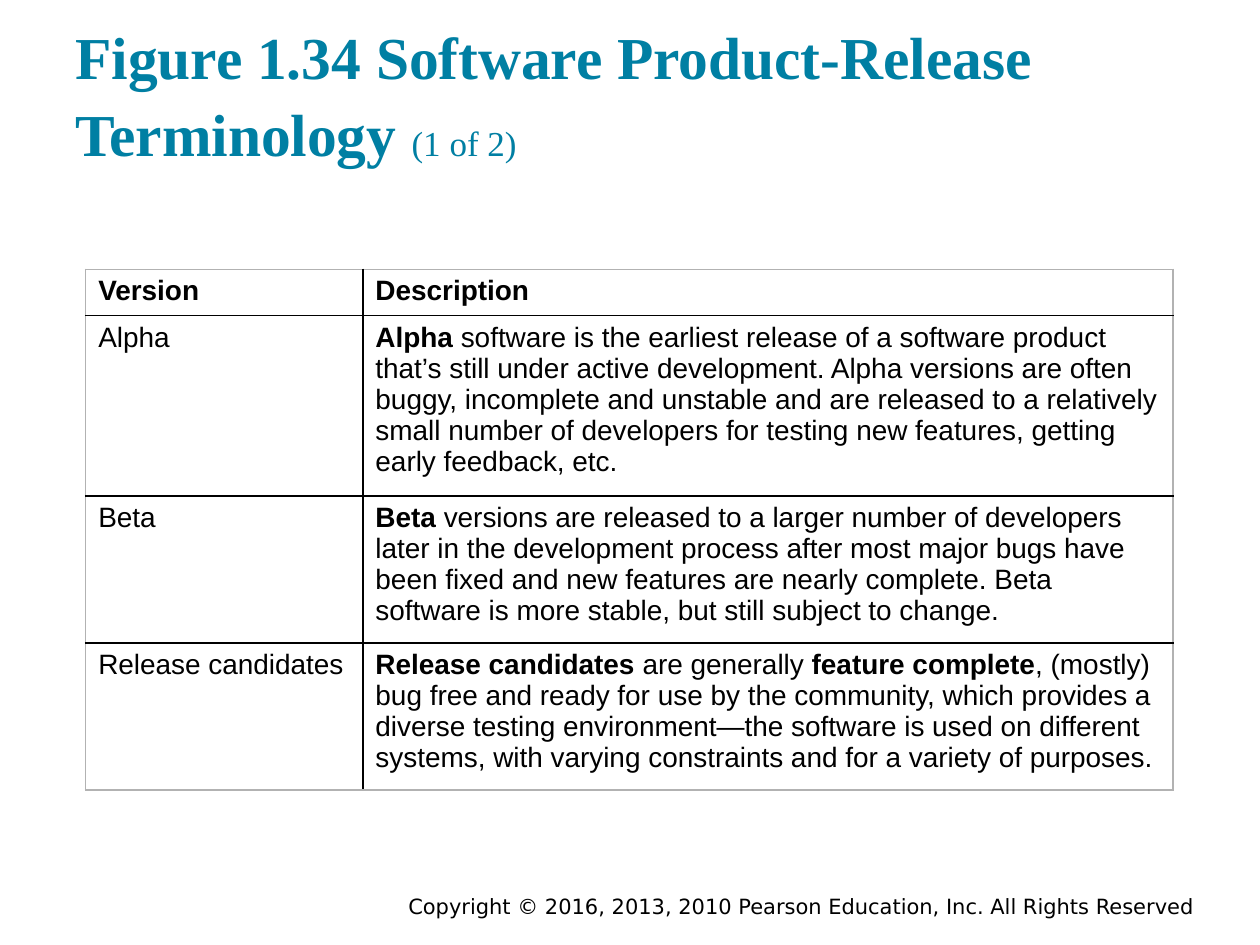
from pptx import Presentation, util as u
from pptx.dml.color import RGBColor
from pptx.enum import text as t
from pptx.oxml.ns import qn
from lxml import etree

COLORS = {"title": "007FA3", "text": "000000", "rule": "000000",
          "frame": "B2B2B2", "paper": "FFFFFF"}
WIDE, HIGH = 10, 7.5

# Asterisks switch bold on and off
ROWS = [
    ("*Version*", "*Description*"),
    ("Alpha", "*Alpha *software is the earliest release of a software product "
     "that’s still under active development. Alpha versions are often buggy, "
     "incomplete and unstable and are released to a relatively small number of "
     "developers for testing new features, getting early feedback, etc."),
    ("Beta", "*Beta *versions are released to a larger number of developers "
     "later in the development process after most major bugs have been fixed "
     "and new features are nearly complete. Beta software is more stable, but "
     "still subject to change."),
    ("Release candidates", "*Release candidates *are generally *feature complete*"
     ", (mostly) bug free and ready for use by the community, which provides a "
     "diverse testing environment—the software is used on different systems, "
     "with varying constraints and for a variety of purposes."),
]


def write(para, text, font="Arial", size=16, color="text"):
    """Add runs to a paragraph; parts between asterisks are bold."""
    for i, part in enumerate(text.split("*")):
        if part:
            run = para.add_run()
            run.text = part
            run.font.name, run.font.size = font, u.Pt(size)
            run.font.bold = i % 2 == 1
            run.font.color.rgb = RGBColor.from_string(COLORS[color])


class Deck:
    def __init__(self):
        self.prs = Presentation()
        self.prs.slide_width, self.prs.slide_height = u.Inches(WIDE), u.Inches(HIGH)
        self.slide = self.prs.slides.add_slide(self.prs.slide_layouts[6])

    def area(self, x, y, w, h):
        """Turn shares of the slide into lengths."""
        return [u.Inches(v * s) for v, s in zip((x, y, w, h), (WIDE, HIGH) * 2)]

    def box(self, area, parts, anchor, align, pad=0.1, space=1.0):
        frame = self.slide.shapes.add_textbox(*self.area(*area)).text_frame
        frame.word_wrap, frame.vertical_anchor = True, anchor
        frame.margin_top = frame.margin_bottom = u.Inches(pad)
        para = frame.paragraphs[0]
        para.alignment, para.line_spacing = align, space
        for text, form in parts:
            write(para, text, **form)

    def border(self, cell, side, color):
        line = etree.SubElement(cell._tc.get_or_add_tcPr(), qn("a:ln" + side),
                                w=str(u.Pt(1)))
        fill = etree.SubElement(line, qn("a:solidFill"))
        etree.SubElement(fill, qn("a:srgbClr"), val=COLORS[color])

    def table(self, area, rows, cols, heights):
        grid = self.slide.shapes.add_table(len(rows), len(cols), *self.area(*area)).table
        for col, share in zip(grid.columns, cols):
            col.width = u.Inches(share * WIDE)
        for r, texts in enumerate(rows):
            grid.rows[r].height = u.Inches(heights[r] * HIGH)
            for c, text in enumerate(texts):
                cell = grid.cell(r, c)
                # The outer frame is grey, inner rules are black
                edges = {"L": c == 0, "R": c == len(cols) - 1,
                         "T": r == 0, "B": r == len(rows) - 1}
                for side, outer in edges.items():
                    self.border(cell, side, "frame" if outer else "rule")
                cell.fill.solid()
                cell.fill.fore_color.rgb = RGBColor.from_string(COLORS["paper"])
                write(cell.text_frame.paragraphs[0], text)


def main():
    deck = Deck()
    # Title
    style = {"font": "Times New Roman", "color": "title"}
    deck.box((0.05, 0.032, 0.9, 0.16),
             [("*Figure 1.34 Software Product-Release Terminology *", {**style, "size": 34}),
              ("(1 of 2)", {**style, "size": 20})],
             t.MSO_ANCHOR.BOTTOM, t.PP_ALIGN.LEFT, space=1.09)
    # Release table
    heights = (0.046, 0.178, 0.145, 0.145)
    deck.table((0.068, 0.285, 0.863, sum(heights)), ROWS, (0.22, 0.643), heights)
    # Copyright line
    deck.box((0.293, 0.944, 0.665, 0.03),
             [("Copyright © 2016, 2013, 2010 Pearson Education, Inc. All Rights Reserved",
               {"font": "DejaVu Sans", "size": 12})],
             t.MSO_ANCHOR.MIDDLE, t.PP_ALIGN.RIGHT, pad=0)
    deck.prs.save("out.pptx")


if __name__ == "__main__":
    main()
